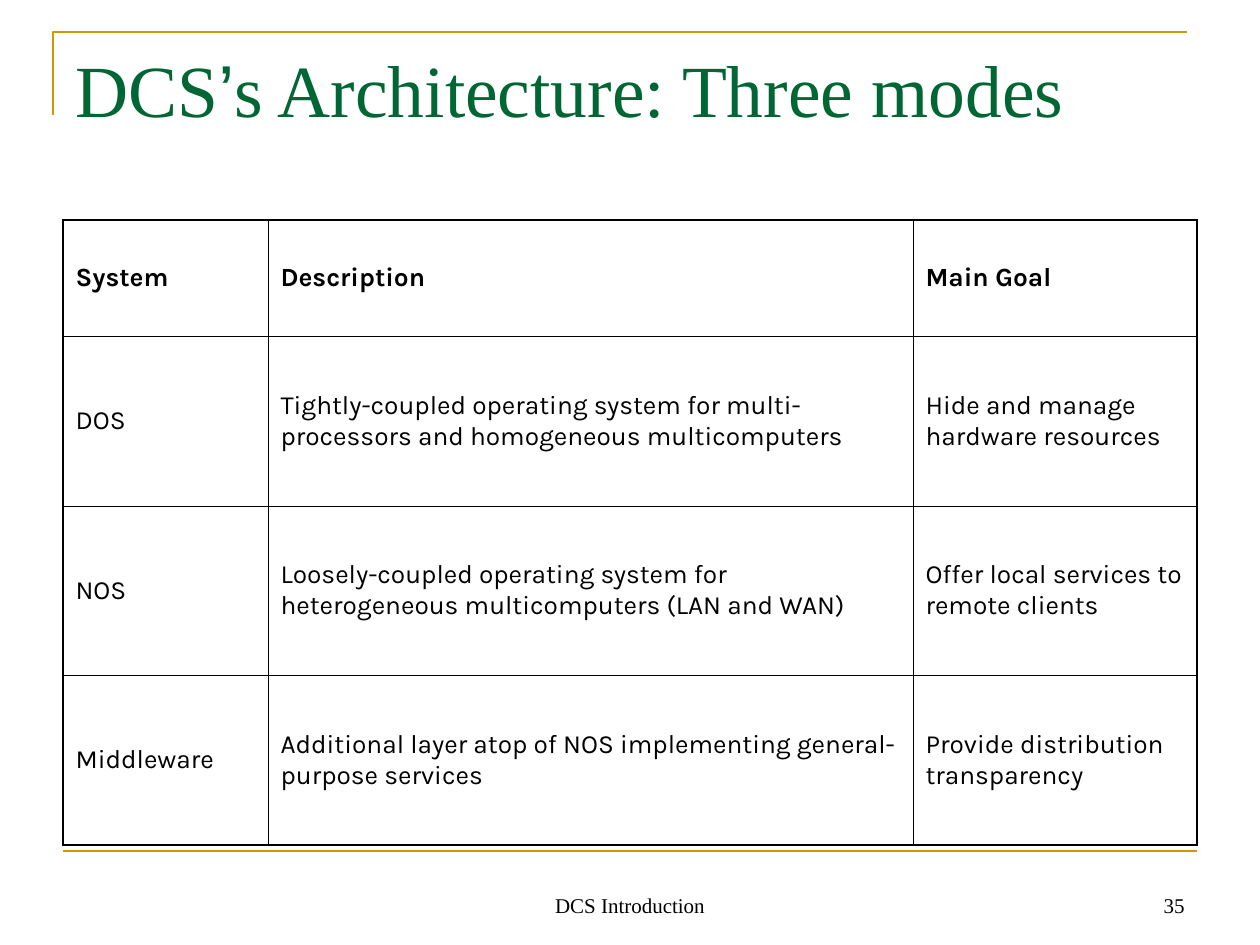
from lxml import etree
from pptx import Presentation
from pptx import util as u
from pptx.dml.color import RGBColor
from pptx.enum import shapes, text
from pptx.oxml.ns import qn

EMU_PER_PX = 914400 / 126
SERIF, SANS = "Times New Roman", "Karla"
GOLD, GREEN, BLACK = "CC9900", "006633", "000000"
COLUMN_WIDTHS = [205, 645, 284]
ROW_HEIGHTS = [116, 170, 169, 170]
MODES = [
    ["System", "Description", "Main Goal"],
    ["DOS",
     "Tightly-coupled operating system for multi-processors and homogeneous multicomputers",
     "Hide and manage hardware resources"],
    ["NOS",
     "Loosely-coupled operating system for heterogeneous multicomputers (LAN and WAN)",
     "Offer local services to remote clients"],
    ["Middleware",
     "Additional layer atop of NOS implementing general-purpose services",
     "Provide distribution transparency"],
]


def px(length):
    """Turn pixels into EMU."""
    return u.Emu(round(length * EMU_PER_PX))


def rgb(hex_code):
    """Turn a hex string into a colour."""
    return RGBColor.from_string(hex_code)


def write(frame, *pieces, size, color=BLACK, bold=False,
          align=text.PP_ALIGN.LEFT, anchor=text.MSO_ANCHOR.TOP):
    """Fill a text frame with (wording, font) pieces in one paragraph."""
    frame.word_wrap = True
    frame.auto_size = text.MSO_AUTO_SIZE.NONE
    frame.vertical_anchor = anchor
    paragraph = frame.paragraphs[0]
    paragraph.alignment = align
    for wording, font_name in pieces:
        run = paragraph.add_run()
        run.text = wording
        run.font.name = font_name
        run.font.size = u.Pt(size)
        run.font.bold = bold
        run.font.color.rgb = rgb(color)


def stroke(rule):
    """Give a rule the gold line without shadow."""
    rule.line.color.rgb = rgb(GOLD)
    rule.line.width = u.Pt(1.5)


def add_corner(slide):
    """Draw the open corner around the title."""
    builder = slide.shapes.build_freeform(53, 115, scale=EMU_PER_PX)
    builder.add_line_segments([(53, 32), (1187, 32)], close=False)
    corner = builder.convert_to_shape()
    corner.fill.background()
    corner.shadow.inherit = False
    stroke(corner)


def add_footer_rule(slide):
    """Draw the straight line above the footer."""
    rule = slide.shapes.add_connector(
        shapes.MSO_CONNECTOR.STRAIGHT, px(63), px(851), px(1197), px(851))
    stroke(rule)
    etree.SubElement(rule._element.spPr, qn("a:effectLst"))


def add_footer(slide, wording, left, width, align):
    """Add one footer text."""
    box = slide.shapes.add_textbox(px(left), px(861), px(width), px(63))
    write(box.text_frame, (wording, SERIF), size=12, align=align,
          anchor=text.MSO_ANCHOR.BOTTOM)


def set_title(slide):
    """Place and fill the title."""
    title = slide.shapes.title
    title.left, title.top, title.width, title.height = map(px, (63, 38, 1134, 157))
    write(title.text_frame, ("DCS", SERIF), ("’", "Arial"),
          ("s Architecture: Three modes", SERIF), size=42, color=GREEN)


def set_borders(cell, outer_sides):
    """Draw cell borders, heavier on the outer sides of the table."""
    properties = cell._tc.get_or_add_tcPr()
    for index, side in enumerate("LRTB"):
        width = u.Pt(1.08 if side in outer_sides else 0.45)
        line = etree.Element(qn(f"a:ln{side}"), w=str(width))
        fill = etree.SubElement(line, qn("a:solidFill"))
        etree.SubElement(fill, qn("a:srgbClr"), val=BLACK)
        properties.insert(index, line)


def add_modes_table(slide):
    """Add the table that compares the three modes."""
    last_row, last_column = len(ROW_HEIGHTS) - 1, len(COLUMN_WIDTHS) - 1
    table = slide.shapes.add_table(
        len(ROW_HEIGHTS), len(COLUMN_WIDTHS), px(63), px(220),
        px(sum(COLUMN_WIDTHS)), px(sum(ROW_HEIGHTS))).table
    table.first_row = table.horz_banding = False
    for column, width in zip(table.columns, COLUMN_WIDTHS):
        column.width = px(width)
    for r, height in enumerate(ROW_HEIGHTS):
        table.rows[r].height = px(height)
        for c, wording in enumerate(MODES[r]):
            cell = table.cell(r, c)
            cell.fill.background()
            cell.vertical_anchor = text.MSO_ANCHOR.MIDDLE
            outer = {"L": c == 0, "R": c == last_column,
                     "T": r == 0, "B": r == last_row}
            set_borders(cell, [side for side in outer if outer[side]])
            write_cell(cell, wording, bold=r == 0)


def write_cell(cell, wording, bold):
    """Write one table cell."""
    run = cell.text_frame.paragraphs[0].add_run()
    run.text = wording
    run.font.name = SANS
    run.font.size = u.Pt(15)
    run.font.bold = bold
    run.font.color.rgb = rgb(BLACK)


def main():
    """Build the slide and save it."""
    deck = Presentation()
    deck.slide_width, deck.slide_height = px(1260), px(945)
    slide = deck.slides.add_slide(deck.slide_layouts[5])
    add_corner(slide)
    add_footer_rule(slide)
    add_footer(slide, "DCS Introduction", 430, 400, text.PP_ALIGN.CENTER)
    add_footer(slide, "35", 903, 294, text.PP_ALIGN.RIGHT)
    set_title(slide)
    add_modes_table(slide)
    deck.save("out.pptx")


if __name__ == "__main__":
    main()
